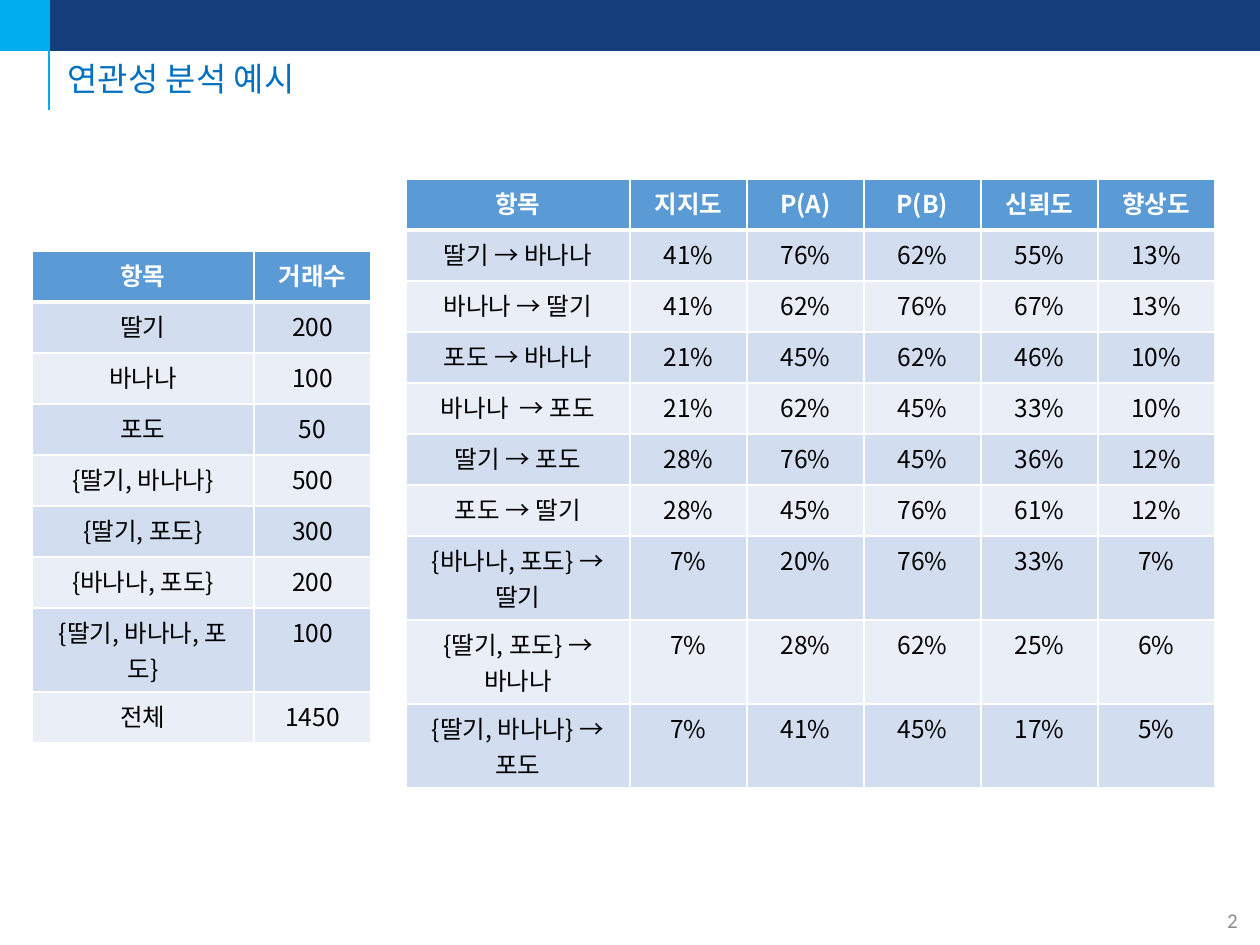
from lxml.etree import SubElement
from pptx import Presentation
from pptx.dml.color import RGBColor
from pptx.enum.shapes import MSO_CONNECTOR, MSO_SHAPE
from pptx.enum.text import MSO_ANCHOR, MSO_AUTO_SIZE, PP_ALIGN
from pptx.oxml.ns import qn
from pptx.util import Pt

PX = 914400 / 126
FONT = "Noto Sans CJK KR"
NAVY = RGBColor(0x14, 0x3F, 0x7B)
CYAN = RGBColor(0x00, 0xAD, 0xEF)
TITLE_BLUE = RGBColor(0x00, 0x70, 0xC0)
HEADER = RGBColor(0x5B, 0x9B, 0xD5)
BANDS = [RGBColor(0xD2, 0xDE, 0xEF), RGBColor(0xEA, 0xEF, 0xF7)]
WHITE = RGBColor(0xFF, 0xFF, 0xFF)
BLACK = RGBColor(0, 0, 0)
GRAY = RGBColor(0x8C, 0x8C, 0x8C)

ONE_LINE, TWO_LINES = 51, 84  # row heights
LINE_CHARS = 10  # longest item that fits on one line

ITEM_COUNTS = [
    ("항목", "거래수"),
    ("딸기", "200"),
    ("바나나", "100"),
    ("포도", "50"),
    ("{딸기, 바나나}", "500"),
    ("{딸기, 포도}", "300"),
    ("{바나나, 포도}", "200"),
    ("{딸기, 바나나, 포도}", "100"),
    ("전체", "1450"),
]
RULES = [
    ("항목", "지지도", "P(A)", "P(B)", "신뢰도", "향상도"),
    ("딸기 → 바나나", "41%", "76%", "62%", "55%", "13%"),
    ("바나나 → 딸기", "41%", "62%", "76%", "67%", "13%"),
    ("포도 → 바나나", "21%", "45%", "62%", "46%", "10%"),
    ("바나나  → 포도", "21%", "62%", "45%", "33%", "10%"),
    ("딸기 → 포도", "28%", "76%", "45%", "36%", "12%"),
    ("포도 → 딸기", "28%", "45%", "76%", "61%", "12%"),
    ("{바나나, 포도} → 딸기", "7%", "20%", "76%", "33%", "7%"),
    ("{딸기, 포도} → 바나나", "7%", "28%", "62%", "25%", "6%"),
    ("{딸기, 바나나} → 포도", "7%", "41%", "45%", "17%", "5%"),
]


def px(*lengths):
    """Turn pixel lengths into EMU."""
    return [round(n * PX) for n in lengths]


def add_run(p, text, size, color, font=FONT, bold=False):
    r = p.add_run()
    r.text = text
    r.font.size = Pt(size)
    r.font.bold = bold
    r.font.color.rgb = color
    r.font.name = font
    SubElement(r.font._element, qn("a:ea"), typeface=font)


prs = Presentation()
prs.slide_width, prs.slide_height = px(1260, 945)
s = prs.slides.add_slide(prs.slide_layouts[5])

# Header band
for width, color in [(1260, NAVY), (48, CYAN)]:
    sp = s.shapes.add_shape(MSO_SHAPE.RECTANGLE, *px(0, 0, width, 50))
    sp.shadow.inherit = False
    sp.fill.solid()
    sp.fill.fore_color.rgb = color
    sp.line.color.rgb = color
    sp.line.width = Pt(1)

rule = s.shapes.add_connector(MSO_CONNECTOR.STRAIGHT, *px(49, 110, 49, 0))
rule.line.color.rgb = CYAN
rule.line.width = Pt(1.5)
SubElement(rule._element.spPr, qn("a:effectLst"))

# Title
title = s.shapes.title
title.left, title.top, title.width, title.height = px(55, 53, 1222, 55)
tf = title.text_frame
tf.auto_size = MSO_AUTO_SIZE.NONE
tf.vertical_anchor = MSO_ANCHOR.MIDDLE
p = tf.paragraphs[0]
p.alignment = PP_ALIGN.LEFT
p.line_spacing = 0.9
add_run(p, "연관성 분석 예시", 18.8, TITLE_BLUE)

# Page number
tf = s.shapes.add_textbox(*px(1206, 895, 53, 50)).text_frame
tf.word_wrap = True
tf.vertical_anchor = MSO_ANCHOR.MIDDLE
p = tf.paragraphs[0]
p.alignment = PP_ALIGN.CENTER
add_run(p, "2", 12, GRAY, "Calibri")

# Tables: left, top, first column width, rows
for left, top, item_width, rows in [(32, 251, 222, ITEM_COUNTS), (406, 179, 224, RULES)]:
    widths = [item_width] + [117] * (len(rows[0]) - 1)
    heights = [TWO_LINES if len(row[0]) > LINE_CHARS else ONE_LINE for row in rows]
    table = s.shapes.add_table(
        len(rows), len(widths), *px(left, top, sum(widths), sum(heights))
    ).table
    for column, width in zip(table.columns, px(*widths)):
        column.width = width
    for table_row, height in zip(table.rows, px(*heights)):
        table_row.height = height
    for i, row in enumerate(rows):
        for j, text in enumerate(row):
            cell = table.cell(i, j)
            tcPr = cell._tc.get_or_add_tcPr()
            for side in "LRTB":
                thick = (i == 0 and side == "B") or (i == 1 and side == "T")
                ln = SubElement(tcPr, qn("a:ln" + side), w=str(Pt(3 if thick else 1)))
                fill = SubElement(ln, qn("a:solidFill"))
                SubElement(fill, qn("a:srgbClr"), val=str(WHITE))
            cell.fill.solid()
            cell.fill.fore_color.rgb = BANDS[(i - 1) % 2] if i else HEADER
            p = cell.text_frame.paragraphs[0]
            p.alignment = PP_ALIGN.CENTER
            add_run(p, text, 14, BLACK if i else WHITE, bold=i == 0)

prs.save("out.pptx")
